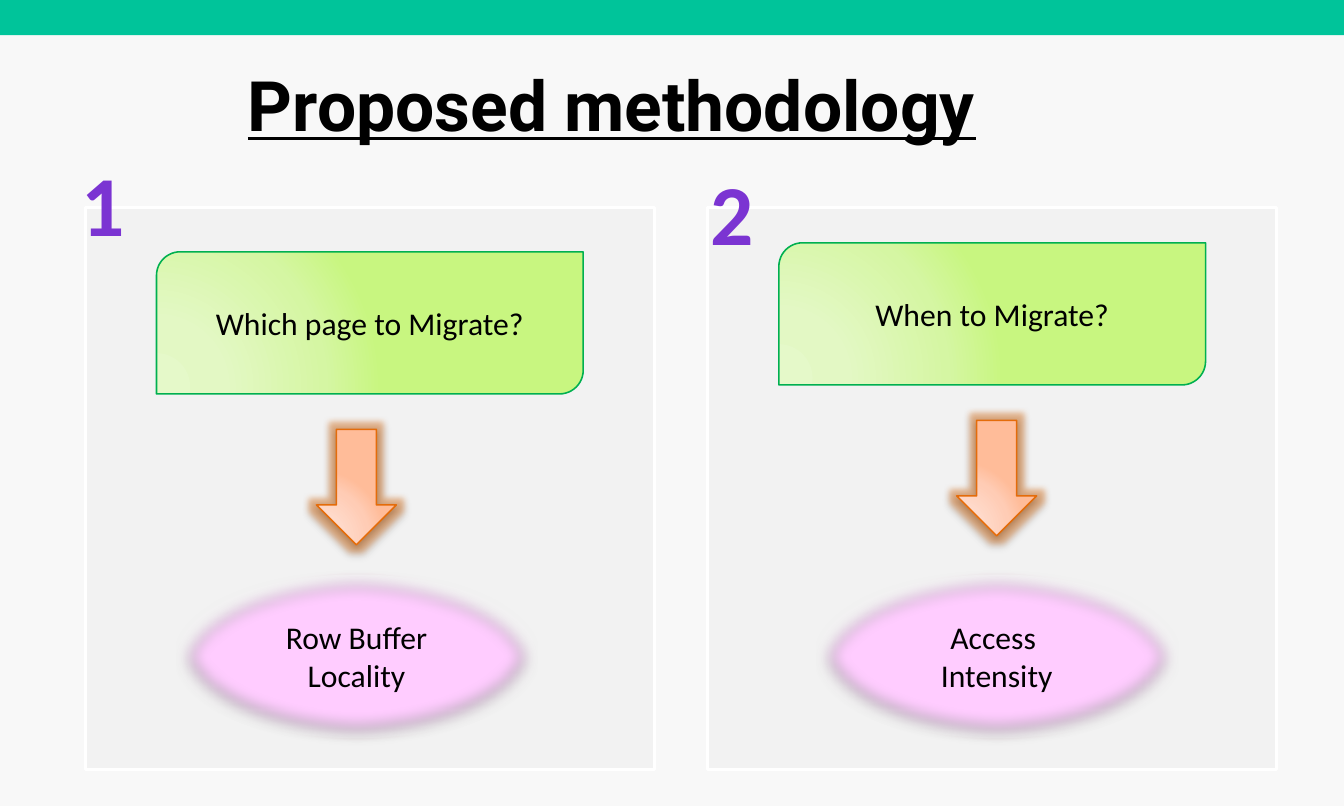
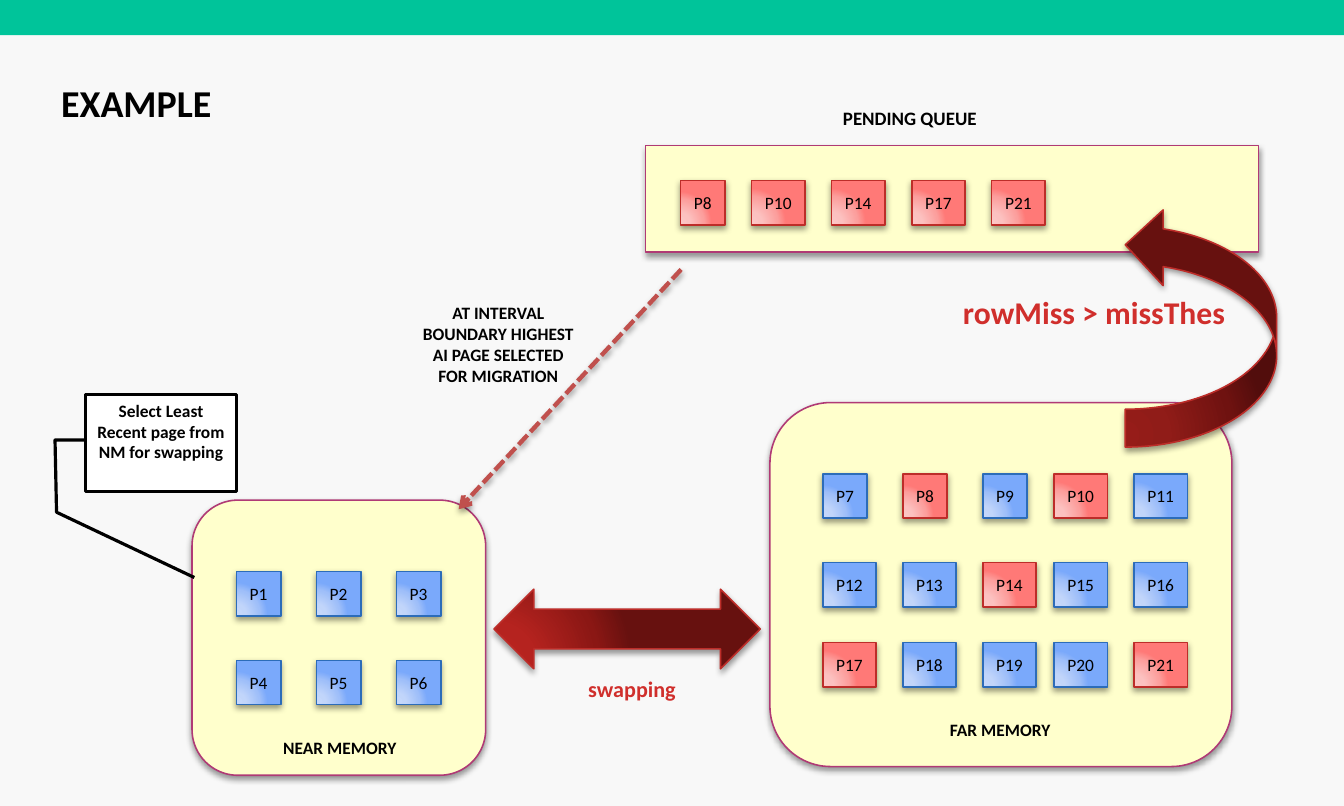
"""Build two slides: a page migration method and a worked example."""
from pptx import Presentation, oxml
from pptx.dml import color
from pptx.enum import dml, shapes, text
from pptx.oxml import ns
from pptx.util import Pt

KIND = shapes.MSO_SHAPE
LEFT, MID = text.PP_ALIGN.LEFT, text.PP_ALIGN.CENTER
TOP, CORE = text.MSO_ANCHOR.TOP, text.MSO_ANCHOR.MIDDLE
rgb = color.RGBColor.from_string

WIDE, HIGH = 850.39, 510.24
BACK, BAND, BLACK, WHITE = "F8F8F8", "00C49A", "000000", "FFFFFF"
CREAM, PLUM, RED, BLUE = "FFFFCC", "B03A75", "BD2D29", "2C6CB9"
INK, VIOLET = "D02F2C", "7B34D2"
LIME = ("E5F9C9", "E3F8C4", "D5F6A3", "C8F680")
PEACH = ("FFE0D3", "FFDDCF", "FFCCB5", "FFBC99")
WINE = ("BC2420", "B5231F", "8B1714", "67110F")
SKY = ("C7D8FB", "C1D5FA", "9FBFF9", "7AA9FB")
ROSE = ("FCC7C6", "FCC1C0", "FC9F9D", "FF7977")
SHADE = ('<a:outerShdw blurRad="50800" dist="25400" dir="5400000" rotWithShape="0">'
         '<a:srgbClr val="000000"><a:alpha val="40000"/></a:srgbClr></a:outerShdw>')
GLOW = ('<a:glow rad="101600"><a:srgbClr val="E46C0A">'
        '<a:alpha val="40000"/></a:srgbClr></a:glow>')
SOFT = '<a:softEdge rad="127000"/>'


def paint(shape, fill, edge, width=1, effect=""):
    """Set fill (hex or four gradient stops), outline and effects."""
    props = shape.element.spPr
    if fill:
        shape.fill.solid()
        shape.fill.fore_color.rgb = rgb(fill if isinstance(fill, str) else fill[0])
    if edge:
        shape.line.color.rgb = rgb(edge)
        shape.line.width = Pt(width)
    else:
        shape.line.fill.background()
    if isinstance(fill, tuple):
        stops = "".join(f'<a:gs pos="{pos}000"><a:srgbClr val="{tone}"/></a:gs>'
                        for pos, tone in zip((0, 30, 75, 100), fill))
        props.replace(props.find(ns.qn("a:solidFill")), oxml.parse_xml(
            f'<a:gradFill {ns.nsdecls("a")} rotWithShape="1"><a:gsLst>{stops}</a:gsLst>'
            '<a:path path="circle"><a:fillToRect l="5000" t="100000" r="120000" b="10000"/>'
            '</a:path></a:gradFill>'))
    props.append(oxml.parse_xml(f'<a:effectLst {ns.nsdecls("a")}>{effect}</a:effectLst>'))


def write(shape, words, size=11, bold=False, tone=BLACK, font="Calibri",
          align=MID, anchor=CORE, wrap=True, under=False):
    """Fill a shape with formatted text."""
    frame = shape.text_frame
    frame.text = words
    frame.word_wrap = wrap
    frame.auto_size = text.MSO_AUTO_SIZE.NONE
    frame.vertical_anchor = anchor
    for para in frame.paragraphs:
        para.alignment = align
        face = para.runs[0].font
        face.name, face.size, face.bold, face.underline = font, Pt(size), bold, under
        face.color.rgb = rgb(tone)


deck = Presentation()
deck.slide_width, deck.slide_height = Pt(WIDE), Pt(HIGH)
back = deck.slide_master.background.fill
back.solid()
back.fore_color.rgb = rgb(BACK)

heads = (
    ("Proposed methodology", (149.7, 35.6, 596, 60.5), dict(size=44, font="Roboto", under=True)),
    ("EXAMPLE", (31.5, 46.8, 168.5, 36), dict(size=24)),
)
slides = []
for words, box, style in heads:
    slide = deck.slides.add_slide(deck.slide_layouts[5])
    band = slide.shapes.add_shape(KIND.RECTANGLE, 0, 0, Pt(WIDE), Pt(22.3))
    paint(band, BAND, None)
    title = slide.shapes.title
    title.left, title.top, title.width, title.height = map(Pt, box)
    write(title, words, bold=True, align=LEFT, anchor=TOP, **style)
    slides.append(slide)
plan, demo = (slide.shapes for slide in slides)

steps = (
    (54, 0, "Which page to Migrate?", "Row Buffer Locality", 0),
    (447.8, 5.7, "When to Migrate?", "Access \nIntensity", 11.3),
)
for left, lift, ask, reply, shift in steps:
    panel = plan.add_shape(KIND.RECTANGLE, Pt(left), Pt(131.2), Pt(360), Pt(356.2))
    paint(panel, "F2F2F2", WHITE, 2)
    card = plan.add_shape(KIND.ROUND_2_DIAG_RECTANGLE, Pt(left + 45), Pt(159.4 - lift),
                          Pt(270), Pt(90))
    paint(card, LIME, "00B050")
    write(card, ask, size=20)
    arrow = plan.add_shape(KIND.DOWN_ARROW, Pt(left + 146.2 + shift), Pt(271.8 - lift),
                           Pt(50.6), Pt(73.2))
    paint(arrow, PEACH, "E46C0A", effect=GLOW + SHADE)
    oval = plan.add_shape(KIND.OVAL, Pt(left + 56.4 + shift), Pt(362), Pt(230.4), Pt(106.5))
    paint(oval, "FFCCFF", PLUM, 3, SHADE + SOFT)
    write(oval, reply, size=20)

for words, left, top, width in (("1", 42.5, 92.2, 45.4), ("2", 442, 97.9, 42.5)):
    digit = plan.add_textbox(Pt(left), Pt(top), Pt(width), Pt(73))
    write(digit, words, size=54, bold=True, tone=VIOLET, anchor=TOP, wrap=False)

blocks = (
    (KIND.ROUNDED_RECTANGLE, 121.5, 316.6, 185.8, 174.2, CREAM, PLUM),
    (KIND.ROUNDED_RECTANGLE, 487.2, 254.9, 292.3, 230.4, CREAM, PLUM),
    (KIND.RECTANGLE, 408.4, 92.2, 388, 67.5, CREAM, PLUM),
    (KIND.CURVED_RIGHT_ARROW, 712, 131, 95.8, 152, WINE, RED),
    (KIND.LEFT_RIGHT_ARROW, 312.6, 373, 168.5, 50.4, WINE, RED),
)
for kind, left, top, width, height, fill, edge in blocks:
    block = demo.add_shape(kind, Pt(left), Pt(top), Pt(width), Pt(height))
    paint(block, fill, edge, effect=SHADE)
    if kind == KIND.CURVED_RIGHT_ARROW:
        block.rotation = 180

link = demo.add_connector(shapes.MSO_CONNECTOR.STRAIGHT, Pt(431), Pt(170.6), Pt(290.2), Pt(322.4))
paint(link, None, "C0504D", 2.75, SHADE)
link.line.dash_style = dml.MSO_LINE.SQUARE_DOT
link.element.spPr.find(ns.qn("a:ln")).append(
    oxml.parse_xml(f'<a:tailEnd {ns.nsdecls("a")} type="arrow"/>'))

near = (149.6, 200.2, 250.8)
far = (520.6, 571.2, 621.9, 666.9, 717.5)
queue = (430.6, 475.6, 526.2, 576.9, 627.5)
hot = ("P8", "P10", "P14", "P17", "P21")
rows = (
    (361.8, near, ("P1", "P2", "P3")),
    (418, near, ("P4", "P5", "P6")),
    (299.9, far, ("P7", "P8", "P9", "P10", "P11")),
    (356.1, far, ("P12", "P13", "P14", "P15", "P16")),
    (406.8, far, ("P17", "P18", "P19", "P20", "P21")),
    (114.3, queue, hot),
)
for top, lefts, names in rows:
    for left, name in zip(lefts, names):
        page = demo.add_shape(KIND.RECTANGLE, Pt(left), Pt(top),
                              Pt(28.1 if len(name) == 2 else 33.8), Pt(28.1))
        paint(page, *((ROSE, RED) if name in hot else (SKY, BLUE)), effect=SHADE)
        write(page, name, wrap=False)

labels = (
    ("rowMiss > missThes", 520.6, 181.9, 343.4, 31.7, dict(size=20, tone=INK)),
    ("swapping", 357.8, 424, 84.2, 24.5, dict(size=14, tone=INK)),
    ("NEAR MEMORY", 172, 463, 106.6, 20.9, dict(align=LEFT)),
    ("FAR MEMORY", 594, 451.9, 80, 20.9, dict(align=LEFT)),
    ("PENDING QUEUE", 526.3, 64, 100, 21.6, dict(size=12, align=LEFT, wrap=False)),
    ("AT INTERVAL BOUNDARY HIGHEST AI PAGE SELECTED FOR MIGRATION",
     256.3, 187.7, 118, 60.5, {}),
)
for words, left, top, width, height, style in labels:
    label = demo.add_textbox(Pt(left), Pt(top), Pt(width), Pt(height))
    write(label, words, bold=True, anchor=TOP, **style)

note = demo.add_shape(KIND.LINE_CALLOUT_3, Pt(54), Pt(249.6), Pt(95.8), Pt(61.7))
for spot, value in enumerate((0.47, 0.01, 0.47, -0.2, 1.21, -0.19, 1.88, 0.72)):
    note.adjustments[spot] = value
paint(note, WHITE, BLACK, 2)
write(note, "Select Least Recent page from NM for swapping", bold=True, anchor=TOP)

deck.save("out.pptx")
